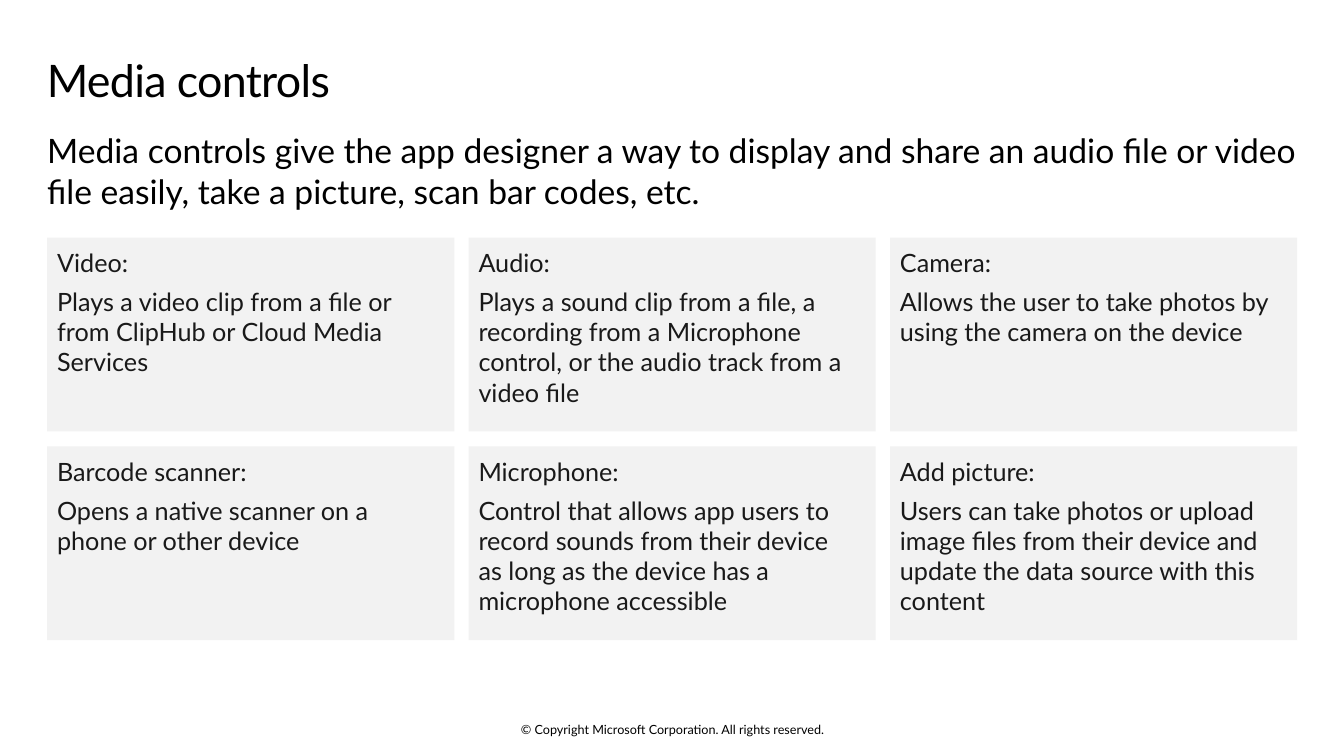
from dataclasses import dataclass
from typing import NamedTuple

from pptx import Presentation
from pptx.dml.color import RGBColor
from pptx.enum.shapes import MSO_SHAPE as Shapes
from pptx.enum.text import MSO_ANCHOR as Anchor, PP_ALIGN as Align
from pptx.slide import Slide
from pptx.text.text import TextFrame, _Paragraph as Paragraph
from pptx.util import Cm, Pt


@dataclass(frozen=True)
class Theme:
    font: str = "Lato"
    black: RGBColor = RGBColor(0x00, 0x00, 0x00)
    card_text: RGBColor = RGBColor(0x19, 0x19, 0x19)
    card_fill: RGBColor = RGBColor(0xF2, 0xF2, 0xF2)
    title_size: int = 32
    intro_size: int = 24
    card_size: int = 18
    footer_size: int = 9


class Box(NamedTuple):
    left: float
    top: float
    width: float
    height: float


class Insets(NamedTuple):
    left: float = 0
    top: float = 0
    right: float = 0
    bottom: float = 0


@dataclass(frozen=True)
class Label:
    text: str
    box: Box
    size: int
    insets: Insets = Insets()
    anchor: Anchor = Anchor.TOP
    align: Align = Align.LEFT
    line_spacing: float = 1.0
    tracking: float = 0


class Card(NamedTuple):
    heading: str
    description: str


THEME = Theme()
COLUMNS = 3
FIRST_CARD = Box(1.19, 5.99, 10.26, 4.88)
COLUMN_PITCH, ROW_PITCH = 10.62, 5.26
CARD_INSETS = Insets(0.25, 0.25, 0.25, 0.25)

LABELS = [
    Label("© Copyright Microsoft Corporation. All rights reserved.",
          Box(11.23, 18.19, 11.43, 0.38), THEME.footer_size,
          anchor=Anchor.MIDDLE, align=Align.CENTER),
    Label("Media controls", Box(1.18, 1.22, 31.5, 1.88), THEME.title_size,
          insets=Insets(0, 0.25, 0.41, 0.25), line_spacing=0.9, tracking=-0.5),
    Label("Media controls give the app designer a way to display and share an audio file "
          "or video file easily, take a picture, scan bar codes, etc.",
          Box(1.19, 3.28, 31.8, 1.02), THEME.intro_size),
]

CARDS = [
    Card("Video:", "Plays a video clip from a file or from ClipHub or Cloud Media Services"),
    Card("Audio:", "Plays a sound clip from a file, a recording from a Microphone control, "
                   "or the audio track from a video file"),
    Card("Camera:", "Allows the user to take photos by using the camera on the device"),
    Card("Barcode scanner:", "Opens a native scanner on a phone or other device"),
    Card("Microphone:", "Control that allows app users to record sounds from their device\n"
                        "as long as the device has a microphone accessible"),
    Card("Add picture:", "Users can take photos or upload image files from their device "
                         "and update the data source with this content"),
]


def set_frame(frame: TextFrame, insets: Insets, anchor: Anchor) -> None:
    frame.word_wrap = True
    frame.vertical_anchor = anchor
    frame.margin_left, frame.margin_top, frame.margin_right, frame.margin_bottom = map(Cm, insets)


def add_text(paragraph: Paragraph, text: str, size: int, color: RGBColor,
             tracking: float = 0) -> None:
    for index, line in enumerate(text.split("\n")):
        if index:
            paragraph.add_line_break()
        run = paragraph.add_run()
        run.text = line
        run.font.name = THEME.font
        run.font.size = Pt(size)
        run.font.color.rgb = color
        if tracking:
            run._r.get_or_add_rPr().set("spc", str(round(tracking * 100)))


def add_label(slide: Slide, label: Label) -> None:
    frame = slide.shapes.add_textbox(*map(Cm, label.box)).text_frame
    set_frame(frame, label.insets, label.anchor)
    paragraph = frame.paragraphs[0]
    paragraph.alignment = label.align
    paragraph.line_spacing = label.line_spacing
    add_text(paragraph, label.text, label.size, THEME.black, label.tracking)


def add_card(slide: Slide, card: Card, box: Box) -> None:
    shape = slide.shapes.add_shape(Shapes.RECTANGLE, *map(Cm, box))
    shape.shadow.inherit = False
    shape.fill.solid()
    shape.fill.fore_color.rgb = THEME.card_fill
    shape.line.fill.background()
    frame = shape.text_frame
    set_frame(frame, CARD_INSETS, Anchor.TOP)
    heading, description = frame.paragraphs[0], frame.add_paragraph()
    heading.space_after = Pt(6)
    for paragraph, text in zip((heading, description), card):
        paragraph.alignment = Align.LEFT
        add_text(paragraph, text, THEME.card_size, THEME.card_text)


def main() -> None:
    presentation = Presentation()
    presentation.slide_width, presentation.slide_height = Cm(33.87), Cm(19.05)
    slide = presentation.slides.add_slide(presentation.slide_layouts[6])
    for label in LABELS:
        add_label(slide, label)
    for index, card in enumerate(CARDS):
        row, column = divmod(index, COLUMNS)
        add_card(slide, card, FIRST_CARD._replace(
            left=FIRST_CARD.left + column * COLUMN_PITCH,
            top=FIRST_CARD.top + row * ROW_PITCH))
    presentation.save("out.pptx")


if __name__ == "__main__":
    main()
